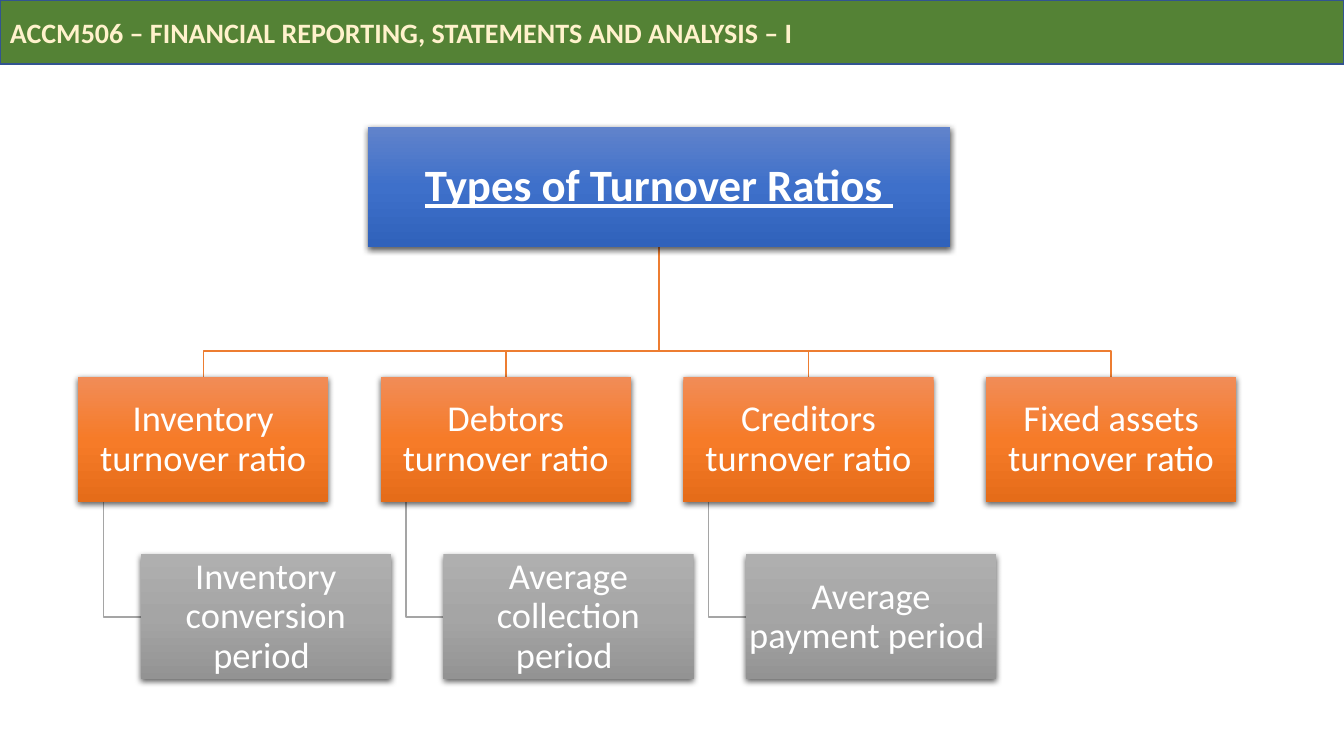
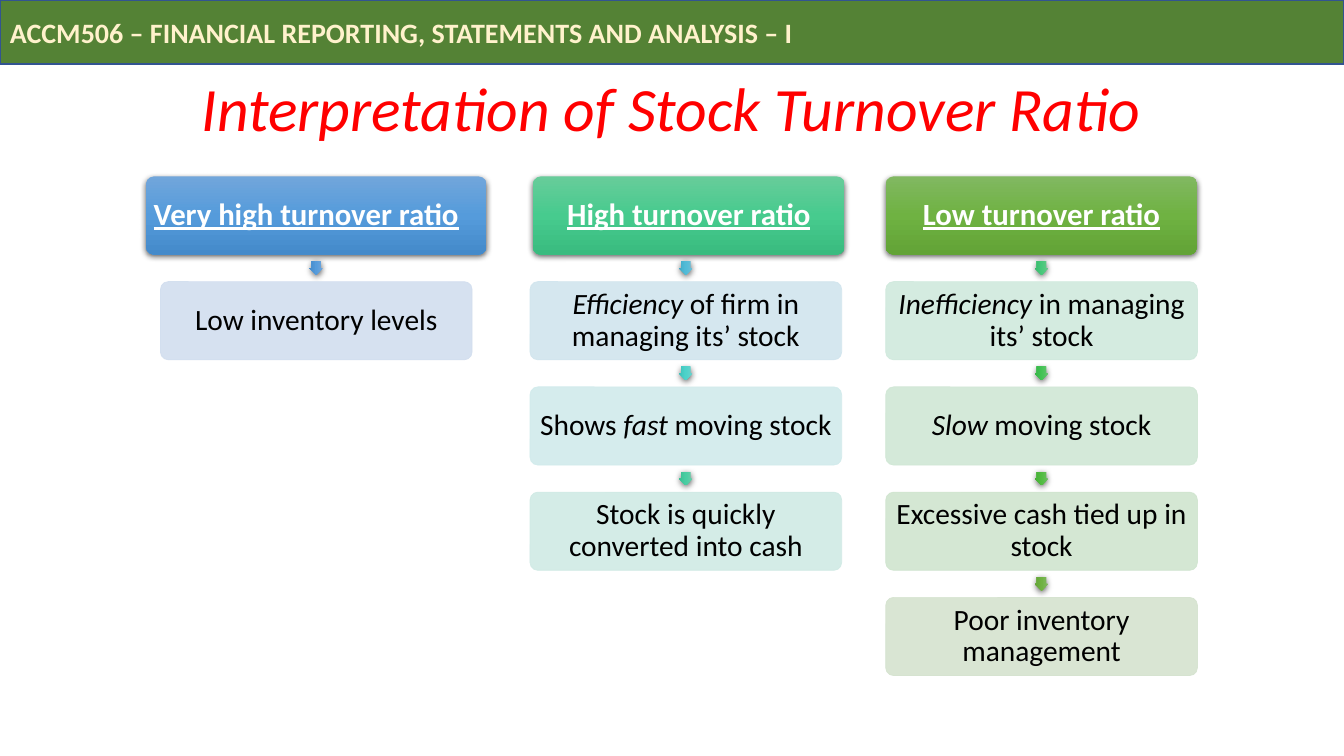
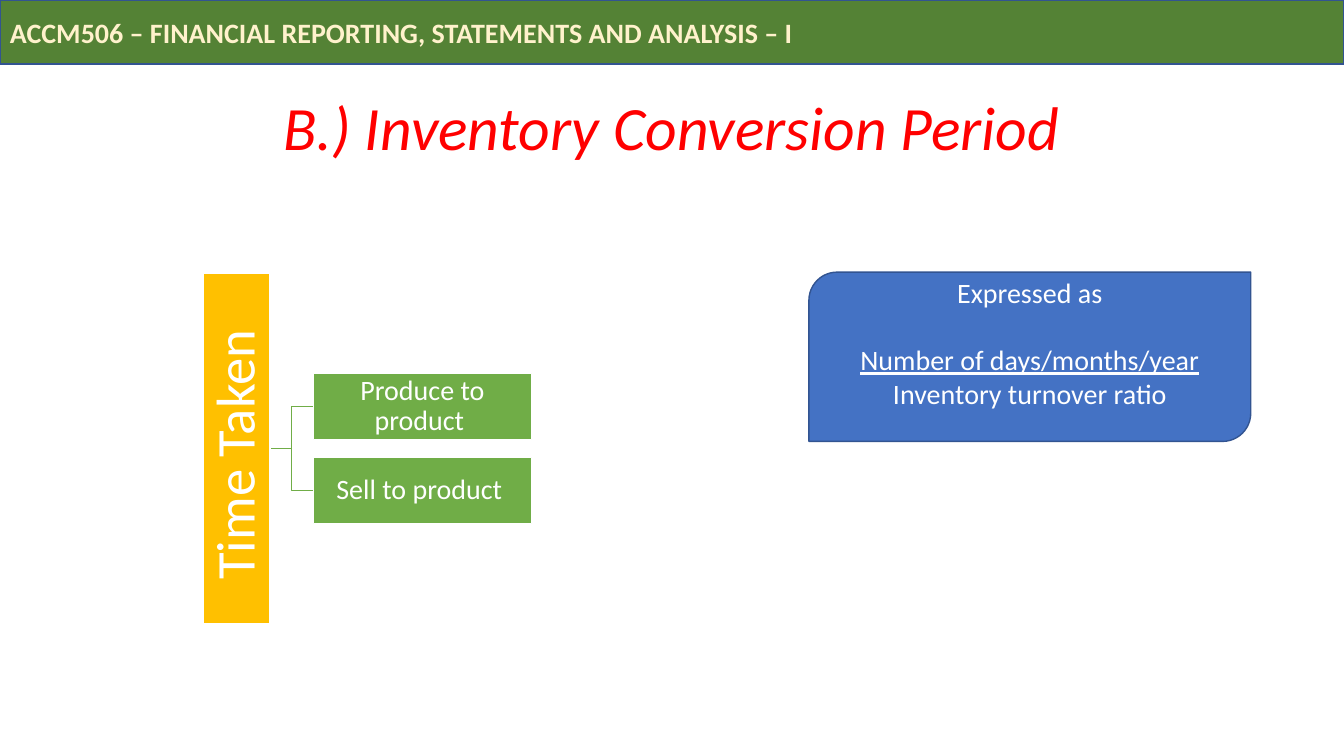
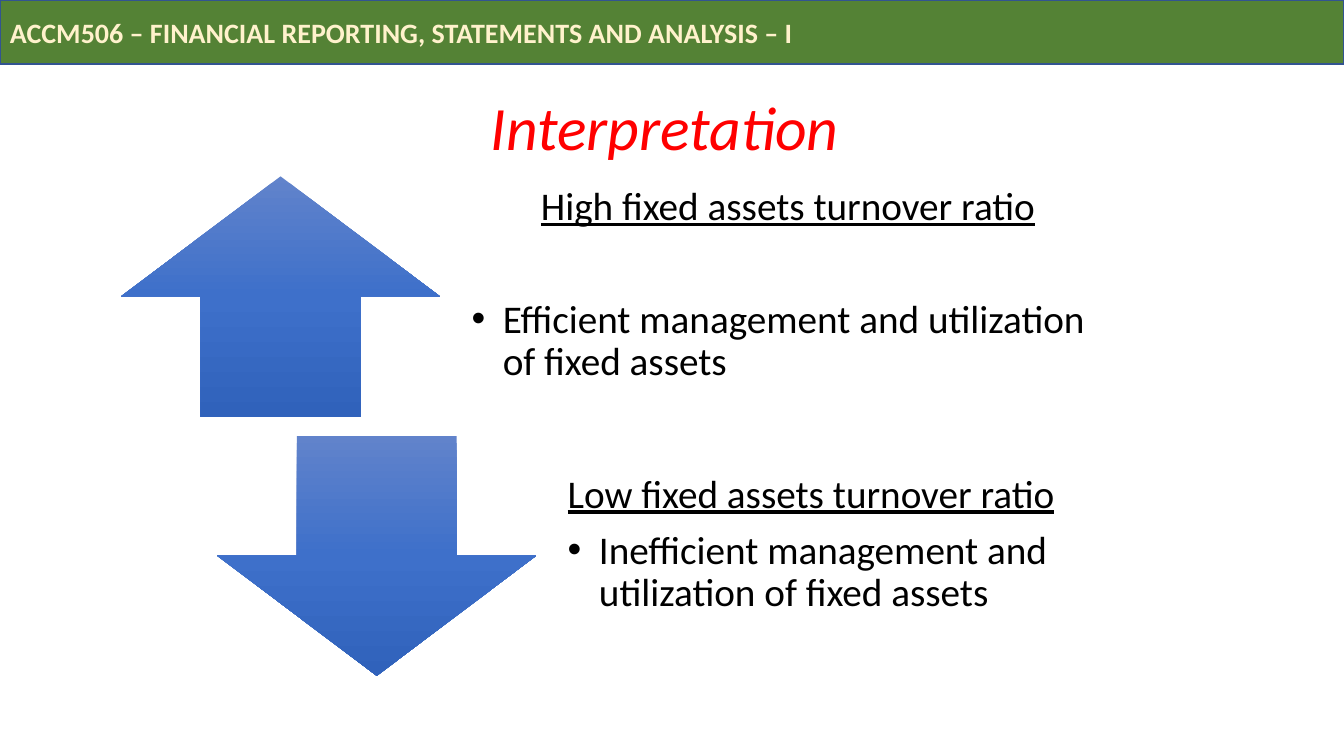
from dataclasses import dataclass
from typing import NamedTuple, Optional

from lxml.etree import SubElement
from pptx import Presentation
from pptx.dml.color import RGBColor as Rgb
from pptx.enum.shapes import MSO_SHAPE as Kind
from pptx.enum.text import MSO_ANCHOR as Anchor, PP_ALIGN as Align
from pptx.oxml.ns import qn
from pptx.util import Emu, Inches, Pt

CELL = 76200  # the slide is a grid of 160 columns by 90 rows
COLS, ROWS = 160, 90

Ramp = tuple[str, str, str]


@dataclass(frozen=True)
class Theme:
    font: str = "Calibri"
    band: str = "548235"
    cream: str = "FFF2CC"
    edge: str = "325491"
    red: str = "FF0000"
    white: str = "FFFFFF"
    black: str = "000000"
    blue: str = "4472C4"
    orange: str = "ED7D31"
    gray: str = "A5A5A5"
    gold: str = "FFC000"
    green: str = "70AD47"
    blues: Ramp = ("6183CB", "3E70CA", "3062BB")
    oranges: Ramp = ("F18C57", "F67B28", "E56C19")
    grays: Ramp = ("AFAFAF", "A5A5A5", "939393")
    skies: Ramp = ("71A6DB", "559BDB", "448ACA")
    mints: Ramp = ("67CC9A", "47CB8E", "39BB7F")
    leaves: Ramp = ("81B861", "6FB242", "62A336")
    title: int = 44
    bar: int = 39
    root: int = 32
    body: int = 28
    node: int = 26
    head: int = 22
    step: int = 21
    small: int = 20


T = Theme()


class Box(NamedTuple):
    """A rectangle in grid cells."""
    x: float
    y: float
    w: float
    h: float

    @property
    def mid(self) -> float:
        return self.x + self.w / 2

    @property
    def base(self) -> float:
        return self.y + self.h

    def emu(self) -> list[Emu]:
        return [cells(v) for v in self]


class Run(NamedTuple):
    text: str
    bold: bool = False
    ital: bool = False
    under: bool = False


class Para(NamedTuple):
    runs: list[Run]
    align: Align = Align.CENTER
    before: float = 0
    dot: bool = False


class Pads(NamedTuple):
    """Text insets in inches."""
    left: float = 0.1
    top: float = 0.05
    right: float = 0.1
    base: float = 0.05


class Step(NamedTuple):
    runs: list[Run]
    tint: str
    ramp: Ramp


class Stack(NamedTuple):
    head: Box
    label: str
    ramp: Ramp
    left: float
    steps: list[Step]
    pads: Pads


class Branch(NamedTuple):
    label: str
    leaf: Optional[str] = None


def cells(num: float) -> Emu:
    return Emu(round(num * CELL))


def even(pad: float) -> Pads:
    return Pads(pad, pad, pad, pad)


def write(shape, paras: list[Para], size: int, color: str, pads: Pads = Pads(),
          lead: Optional[float] = 0.9) -> None:
    frame = shape.text_frame
    frame.word_wrap = True
    frame.vertical_anchor = Anchor.MIDDLE
    frame.margin_left, frame.margin_top = Inches(pads.left), Inches(pads.top)
    frame.margin_right, frame.margin_bottom = Inches(pads.right), Inches(pads.base)
    for num, para in enumerate(paras):
        line = frame.add_paragraph() if num else frame.paragraphs[0]
        if para.dot:
            props = line._p.get_or_add_pPr()
            props.set("marL", str(Inches(0.31)))
            props.set("indent", str(-Inches(0.31)))
            SubElement(props, qn("a:buFont"), typeface="Arial")
            SubElement(props, qn("a:buChar"), char="•")
        line.alignment = para.align
        if lead:
            line.line_spacing = lead
        if para.before:
            line.space_before = Pt(para.before)
        for part in para.runs:
            run = line.add_run()
            run.text = part.text
            font = run.font
            font.name, font.size = T.font, Pt(size)
            font.color.rgb = Rgb.from_string(color)
            font.bold, font.italic, font.underline = part.bold, part.ital, part.under


def draw(slide, kind: Kind, box: Box, fill: str, edge: Optional[str] = None,
         width: float = 1, alpha: int = 100):
    shape = slide.shapes.add_shape(kind, *box.emu())
    shape.shadow.inherit = False
    shape.fill.solid()
    shape.fill.fore_color.rgb = Rgb.from_string(fill)
    if edge:
        shape.line.color.rgb = Rgb.from_string(edge)
        shape.line.width = Pt(width)
    else:
        shape.line.fill.background()
    if alpha < 100:
        for tone in shape.element.spPr.iter(qn("a:srgbClr")):
            SubElement(tone, qn("a:alpha"), val=str(alpha * 1000))
    return shape


def shade(slide, kind: Kind, box: Box, ramp: Ramp, drop: bool = True):
    """Draw a shape with a downward gradient and, if wanted, a drop shadow."""
    shape = draw(slide, kind, box, ramp[1])
    shape.fill.gradient()
    shape.fill.gradient_angle = 270
    props = shape.element.spPr
    stops = props.find(".//" + qn("a:gsLst"))
    for old in list(stops):
        stops.remove(old)
    for num, color in enumerate(ramp):
        stop = SubElement(stops, qn("a:gs"), pos=str(num * 50000))
        SubElement(stop, qn("a:srgbClr"), val=color)
    if drop:
        cast = SubElement(props.find(qn("a:effectLst")), qn("a:outerShdw"),
                          blurRad=str(Pt(4.5)), dist=str(Pt(1.5)), dir="5400000",
                          algn="ctr", rotWithShape="0")
        tone = SubElement(cast, qn("a:srgbClr"), val=T.black)
        SubElement(tone, qn("a:alpha"), val="63000")
    return shape


def trace(slide, spots: list[tuple[float, float]], color: str) -> None:
    """Draw an open line through points given in cells."""
    first, *rest = [(cells(x), cells(y)) for x, y in spots]
    pen = slide.shapes.build_freeform(*first)
    pen.add_line_segments(rest, close=False)
    line = pen.convert_to_shape()
    line.shadow.inherit = False
    line.fill.background()
    line.line.color.rgb = Rgb.from_string(color)
    line.line.width = Pt(1)


def title(slide, text: str, box: Box = Box(11, 8.9, 138, 13.2)) -> None:
    area = slide.shapes.add_textbox(*box.emu())
    write(area, [Para([Run(text, ital=True)])], T.title, T.red)


def band(slide, layout) -> None:
    """Put the course band on the layout, so that every slide shows it."""
    bar = draw(slide, Kind.RECTANGLE, Box(0, 0, COLS, 7.6), T.band, T.edge)
    text = "ACCM506 – FINANCIAL REPORTING, STATEMENTS AND ANALYSIS – I"
    write(bar, [Para([Run(text, bold=True)], Align.LEFT)], T.small, T.cream, lead=None)
    layout.shapes.element.append(bar.element)


def types(slide) -> None:
    root = Box(43.8, 15.1, 69.3, 14.3)
    wide, high, pitch, bus = 29.8, 14.9, 36.03, 41.8
    tree = [
        Branch("Inventory turnover ratio", "Inventory conversion period "),
        Branch("Debtors turnover ratio", "Average collection period "),
        Branch("Creditors turnover ratio", "Average payment period "),
        Branch("Fixed assets turnover ratio"),
    ]
    nodes = [Box(9.3 + num * pitch, 44.9, wide, high) for num in range(len(tree))]
    leaves = [Box(node.x + 7.45, 66, wide, high) for node in nodes]
    for item, node, leaf in zip(tree, nodes, leaves):
        trace(slide, [(root.mid, root.base), (root.mid, bus),
                      (node.mid, bus), (node.mid, node.y)], T.orange)
        if item.leaf:
            stem, mid = node.x + 3, leaf.y + high / 2
            trace(slide, [(stem, node.base), (stem, mid), (leaf.x, mid)], T.gray)

    def card(box: Box, ramp: Ramp, run: Run, size: int) -> None:
        shape = shade(slide, Kind.RECTANGLE, box, ramp)
        write(shape, [Para([run])], size, T.white, even(0.02))

    card(root, T.blues, Run("Types of Turnover Ratios ", bold=True, under=True), T.root)
    for item, node, leaf in zip(tree, nodes, leaves):
        card(node, T.oranges, Run(item.label), T.node)
        if item.leaf:
            card(leaf, T.grays, Run(item.leaf), T.node)


def stock(slide) -> None:
    title(slide, "Interpretation of Stock Turnover Ratio", Box(8, 8, 144, 10.6))
    top, wide, high, pitch, tip = 21, 37.1, 9.3, 12.53, 1.63
    stacks = [
        Stack(Box(17.4, top, 40.5, high), "Very high turnover ratio", T.skies, 19.1, [
            Step([Run("Low inventory levels")], "D2DEEF", T.skies),
        ], Pads(0, 0.03, 0.2, 0.03)),
        Stack(Box(63.45, top, wide, high), "High turnover ratio", T.mints, 63.1, [
            Step([Run("Efficiency", ital=True), Run(" of firm in managing its’ stock")],
                 "D1E5EE", ("6EBFD7", "51BBD7", "41AAC6")),
            Step([Run("Shows "), Run("fast", ital=True), Run(" moving stock")],
                 "D1EBEC", ("6BD2CC", "4DD2CA", "3DC1B9")),
            Step([Run("Stock is quickly converted into cash")],
                 "D0EAE5", ("68CEAA", "49CDA2", "3ABD92")),
        ], even(0.03)),
        Stack(Box(105.45, top, wide, high), "Low turnover ratio", T.leaves, 105.45, [
            Step([Run("Inefficiency", ital=True), Run(" in managing its’ stock")],
                 "D0E9DD", ("66C98A", "46C87A", "37B86B")),
            Step([Run("Slow", ital=True), Run(" moving stock")],
                 "D0E7D5", ("64C46F", "43C354", "35B346")),
            Step([Run("Excessive cash tied up in stock")],
                 "D0E5CF", ("6CBF62", "51BC41", "45AC35")),
            Step([Run("Poor inventory management")], "D5E3CF", T.leaves),
        ], even(0.03)),
    ]
    for stack in stacks:
        head = shade(slide, Kind.ROUNDED_RECTANGLE, stack.head, stack.ramp)
        head.adjustments[0] = 0.1
        write(head, [Para([Run(stack.label, bold=True, under=True)])],
              T.head, T.white, stack.pads)
        for num, step in enumerate(stack.steps, 1):
            box = Box(stack.left, top + num * pitch, wide, high)
            gap = box.y - (pitch - high) / 2
            arrow = shade(slide, Kind.RIGHT_ARROW,
                          Box(box.mid - tip / 2, gap - tip / 2, tip, tip), step.ramp)
            arrow.adjustments[0] = 0.67
            arrow.rotation = 90
            card = draw(slide, Kind.ROUNDED_RECTANGLE, box, step.tint, step.tint, 0.5, 90)
            card.adjustments[0] = 0.1
            write(card, [Para(step.runs)], T.step, T.black, even(0.03))


def period(slide) -> None:
    title(slide, "B.) Inventory Conversion Period")
    mid, bend, left, high = 53.4, 34.7, 37.3, 7.9
    items = [Box(left, mid + off - high / 2, 26, high) for off in (-5, 5)]
    for item in items:
        end = item.y + high / 2
        trace(slide, [(32.1, mid), (bend, mid), (bend, end), (left, end)], T.green)
    long = 41.8
    bar = draw(slide, Kind.RECTANGLE, Box(28.2 - long / 2, mid - high / 2, long, high),
               T.gold, T.white)
    bar.rotation = 270
    write(bar, [Para([Run("Time Taken ")])], T.bar, T.white, even(0.03))
    for item, text in zip(items, ("Produce to product ", "Sell to product ")):
        card = draw(slide, Kind.RECTANGLE, item, T.green, T.white)
        write(card, [Para([Run(text)])], T.small, T.white, even(0.01))
    rule = draw(slide, Kind.ROUND_2_DIAG_RECTANGLE, Box(96.3, 32.4, 52.6, 20.15),
                T.blue, T.edge)
    write(rule, [
        Para([Run("Expressed as")]),
        Para([Run("Number of days/months/year", under=True)], before=24),
        Para([Run("Inventory turnover ratio")]),
    ], T.small, T.white, Pads(0.1, 0, 0.1, 0.28), None)


def assets(slide) -> None:
    title(slide, "Interpretation ")
    wide, high = 38, 28.6
    views = [
        (Kind.UP_ARROW, 14.4, 21, "High fixed assets turnover ratio", Align.CENTER,
         "Efficient management and utilization of fixed assets", 50.3),
        (Kind.DOWN_ARROW, 25.85, 51.85, "Low fixed assets turnover ratio", Align.LEFT,
         "Inefficient management and utilization of fixed assets", 9.8),
    ]
    for kind, x, y, head, align, note, gap in views:
        shade(slide, kind, Box(x, y, wide, high), T.blues, drop=False)
        area = slide.shapes.add_textbox(*Box(x + wide + 1.1, y, 80.6, high).emu())
        write(area, [
            Para([Run(head, under=True)], align),
            Para([Run(note)], Align.LEFT, gap, True),
        ], T.body, T.black, Pads(0.22, 0, 0.22, 0.22))


def main() -> None:
    prs = Presentation()
    prs.slide_width, prs.slide_height = cells(COLS), cells(ROWS)
    blank = prs.slide_layouts[6]
    slides = [prs.slides.add_slide(blank) for _ in range(4)]
    band(slides[0], blank)
    for slide, build in zip(slides, (types, stock, period, assets)):
        build(slide)
    prs.save("out.pptx")


if __name__ == "__main__":
    main()
